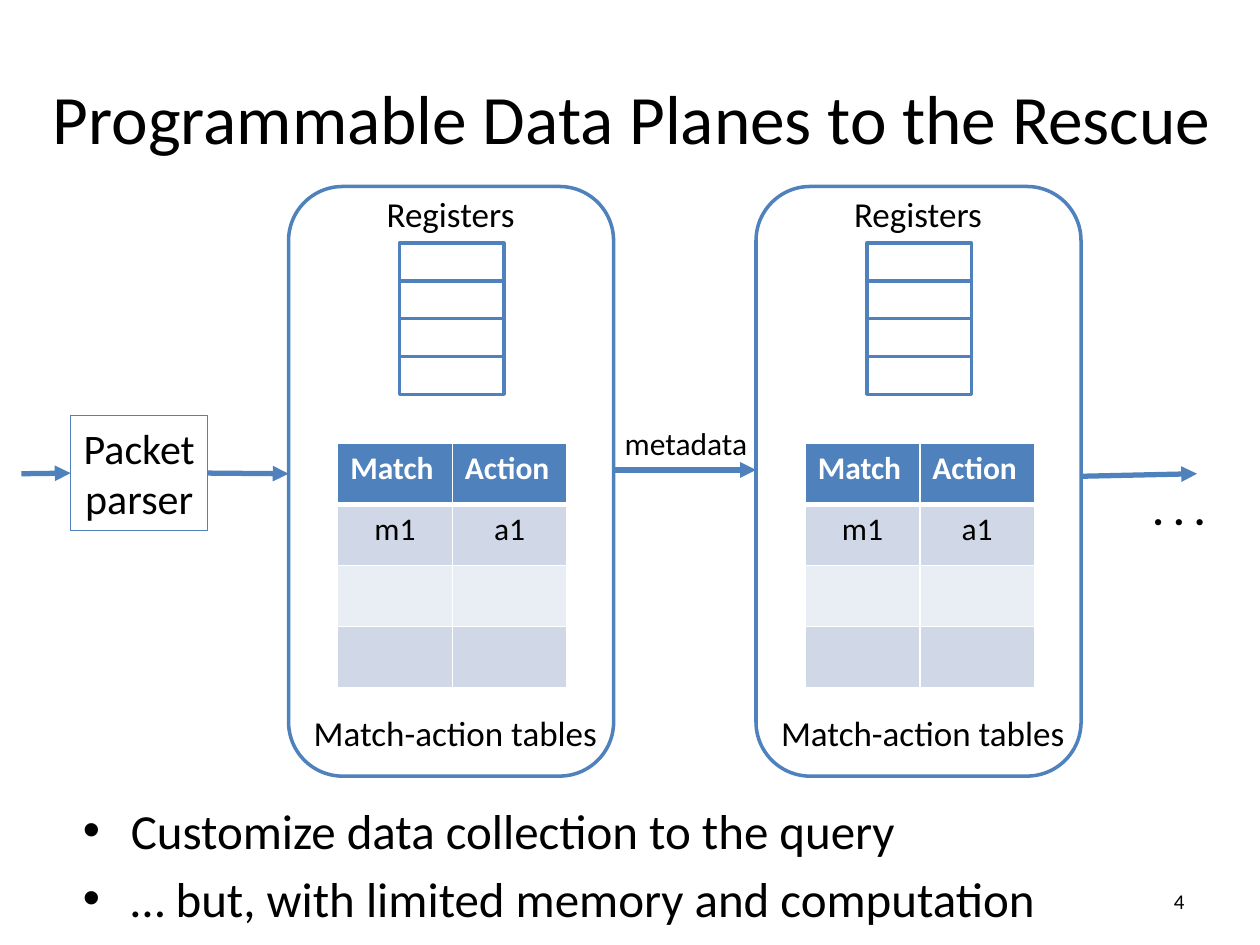
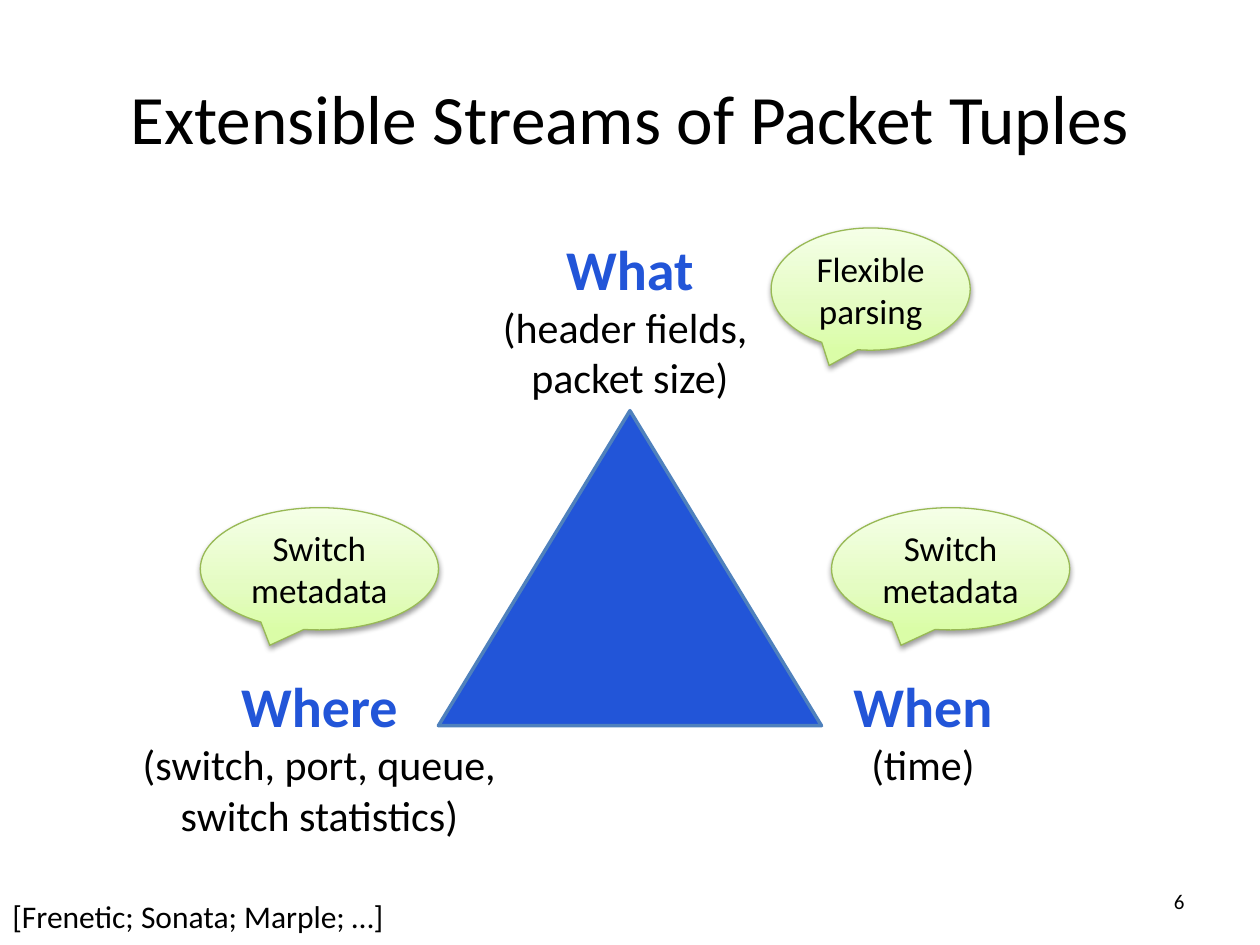
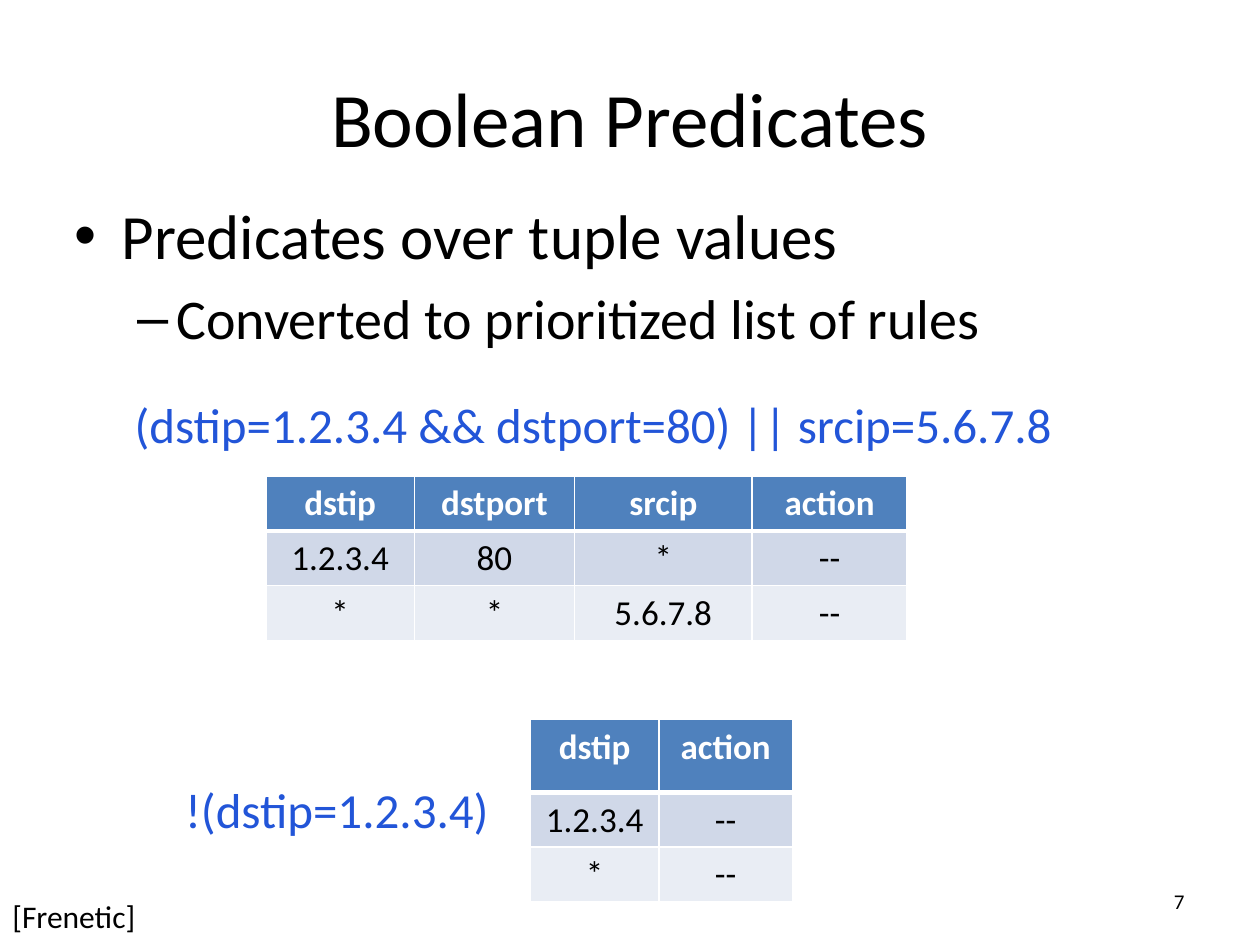
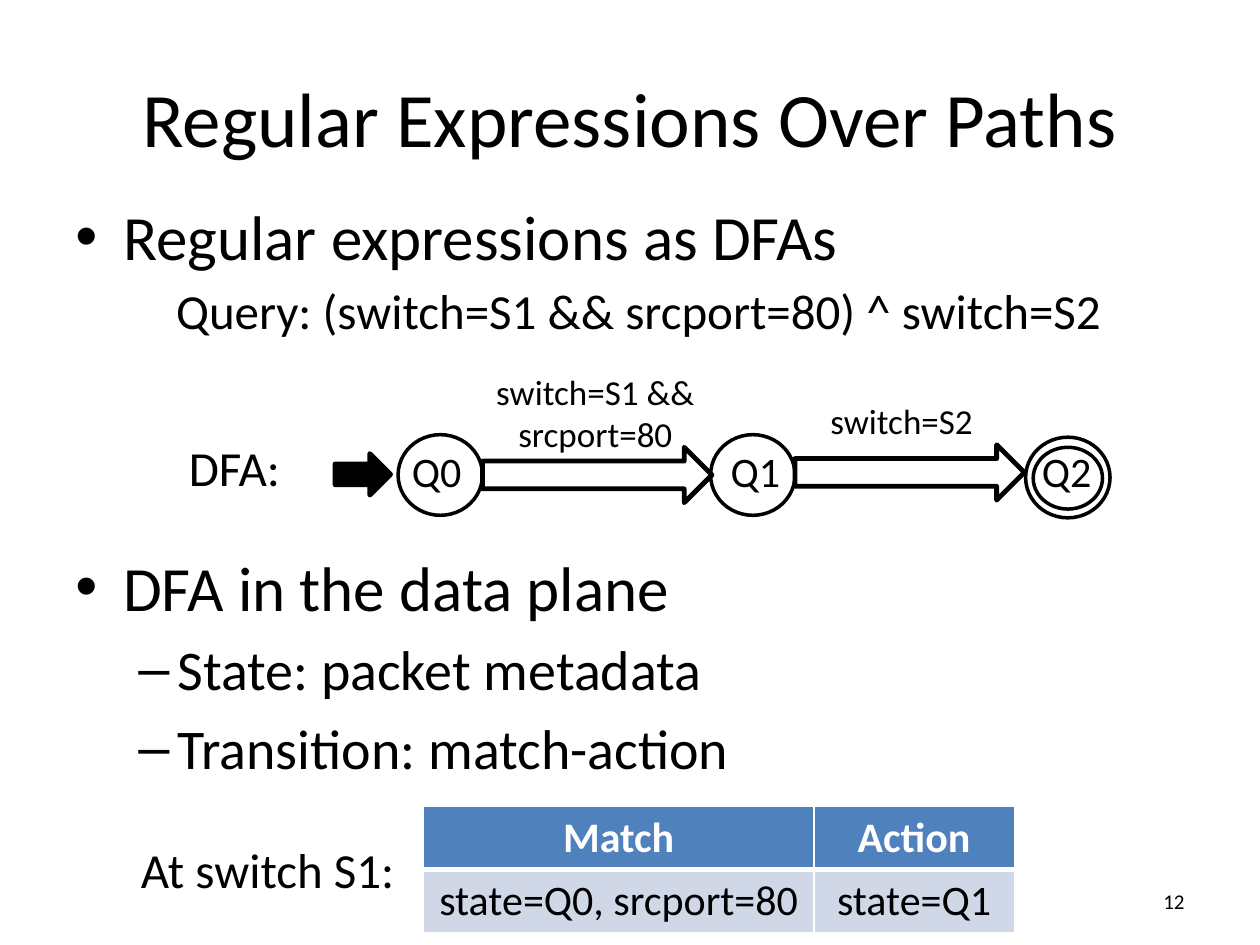
from dataclasses import dataclass

from pptx import Presentation
from pptx.dml.color import RGBColor
from pptx.enum.shapes import MSO_CONNECTOR, MSO_SHAPE
from pptx.enum.text import MSO_ANCHOR, MSO_AUTO_SIZE, PP_ALIGN
from pptx.oxml import parse_xml
from pptx.oxml.ns import nsdecls
from pptx.util import Inches, Pt


@dataclass(frozen=True)
class Theme:
    """Colours, font and type sizes shared by all slides."""
    font: str = "Calibri"
    black: RGBColor = RGBColor(0, 0, 0)
    white: RGBColor = RGBColor(0xFF, 0xFF, 0xFF)
    accent: RGBColor = RGBColor(0x4F, 0x81, 0xBD)
    strong: RGBColor = RGBColor(0x22, 0x55, 0xD8)
    callout_line: RGBColor = RGBColor(0x98, 0xB9, 0x55)
    bands: tuple = (RGBColor(0xD0, 0xD8, 0xE8), RGBColor(0xE9, 0xED, 0xF4))
    callout_stops: tuple = ((0, "DAFDA7"), (35, "E4FCC2"), (100, "F5FFE7"))
    title: float = 44
    title_long: float = 39.6
    head: float = 36
    sub: float = 32
    code: float = 28
    large: float = 24
    label: float = 20
    small: float = 18
    number: float = 12


T = Theme()
BULLETS = (("•", 0.38, 0.38), ("–", 0.81, 0.31))
CENTER = PP_ALIGN.CENTER


def inches(*values):
    """Convert several numbers to lengths."""
    return [Inches(v) for v in values]


def write(tf, text, size=T.small, color=T.black, bold=False, align=PP_ALIGN.LEFT,
          level=None, before=None):
    """Append one formatted paragraph per line of text."""
    for line in text.split("\n"):
        p = tf.add_paragraph() if tf.text else tf.paragraphs[0]
        p.alignment = align
        r = p.add_run()
        r.text = line
        r.font.name, r.font.size, r.font.bold = T.font, Pt(size), bold
        r.font.color.rgb = color
        if before is not None:
            p.space_before = Pt(before)
        if level is not None:
            char, left, hang = BULLETS[level]
            p.level = level
            pPr = p._p.get_or_add_pPr()
            pPr.set("marL", str(Inches(left)))
            pPr.set("indent", str(-Inches(hang)))
            pPr.append(parse_xml(f'<a:buFont {nsdecls("a")} typeface="Arial"/>'))
            pPr.append(parse_xml(f'<a:buChar {nsdecls("a")} char="{char}"/>'))


def add_text(shapes, at, text="", wrap=True, grow=True, anchor=MSO_ANCHOR.TOP, **fmt):
    """Add a text box and return its text frame."""
    tf = shapes.add_textbox(*inches(*at)).text_frame
    tf.word_wrap = wrap
    tf.vertical_anchor = anchor
    tf.auto_size = MSO_AUTO_SIZE.SHAPE_TO_FIT_TEXT if grow else MSO_AUTO_SIZE.NONE
    if text:
        write(tf, text, **fmt)
    return tf


def add_shape(shapes, kind, at, fill=None, line=T.accent, width=2):
    """Add a flat preset shape, hollow unless a fill is given."""
    sp = shapes.add_shape(kind, *inches(*at))
    sp.shadow.inherit = False
    if fill is None:
        sp.fill.background()
    else:
        sp.fill.solid()
        sp.fill.fore_color.rgb = fill
    sp.line.color.rgb = line
    sp.line.width = Pt(width)
    return sp


def add_arrow(shapes, start, end, begin=None, finish=None):
    """Add a straight arrow, joined to the given shapes' sides."""
    cxn = shapes.add_connector(MSO_CONNECTOR.STRAIGHT, *inches(*start, *end))
    if begin is not None:
        cxn.begin_connect(begin, 3)
    if finish is not None:
        cxn.end_connect(finish, 1)
    cxn.line.color.rgb = T.accent
    cxn.line.width = Pt(3)
    cxn.line._get_or_add_ln().append(
        parse_xml(f'<a:tailEnd {nsdecls("a")} type="triangle"/>'))
    cxn._element.spPr.append(parse_xml(f'<a:effectLst {nsdecls("a")}/>'))


def add_callout(shapes, at, text):
    """Add a green speech bubble with a gradient and a soft shadow."""
    sp = add_shape(shapes, MSO_SHAPE.OVAL_CALLOUT, at, line=T.callout_line, width=0.75)
    spPr = sp._element.spPr
    stops = "".join(f'<a:gs pos="{pos * 1000}"><a:srgbClr val="{rgb}"/></a:gs>'
                    for pos, rgb in T.callout_stops)
    grad = parse_xml(f'<a:gradFill {nsdecls("a")} rotWithShape="1"><a:gsLst>{stops}</a:gsLst>'
                     '<a:lin ang="16200000" scaled="0"/></a:gradFill>')
    spPr.replace(spPr.find("{*}noFill"), grad)
    spPr.find("{*}effectLst").append(parse_xml(
        f'<a:outerShdw {nsdecls("a")} blurRad="{Pt(3.1)}" dist="{Pt(1.6)}" dir="5400000" '
        'rotWithShape="0"><a:srgbClr val="000000"><a:alpha val="38000"/></a:srgbClr>'
        '</a:outerShdw>'))
    sp.text_frame.vertical_anchor = MSO_ANCHOR.MIDDLE
    write(sp.text_frame, text, size=T.label, align=CENTER)


def set_borders(cell, top, bottom):
    """Give a cell white borders of the given widths."""
    tcPr = cell._tc.get_or_add_tcPr()
    sides = (("lnL", 1), ("lnR", 1), ("lnT", top), ("lnB", bottom))
    for i, (tag, width) in enumerate(sides):
        tcPr.insert(i, parse_xml(
            f'<a:{tag} {nsdecls("a")} w="{Pt(width)}"><a:solidFill>'
            f'<a:srgbClr val="{T.white}"/></a:solidFill></a:{tag}>'))


def add_grid(shapes, left, top, cols, heights, rows, size, head_align=CENTER):
    """Add a table with a blue header and banded rows."""
    at = inches(left, top, sum(cols), sum(heights))
    table = shapes.add_table(len(rows), len(cols), *at).table
    for col, width in zip(table.columns, cols):
        col.width = Inches(width)
    for i, (row, height, texts) in enumerate(zip(table.rows, heights, rows)):
        row.height = Inches(height)
        head = i == 0
        for cell, text in zip(row.cells, texts):
            cell.fill.solid()
            cell.fill.fore_color.rgb = T.accent if head else T.bands[(i - 1) % 2]
            set_borders(cell, 3 if i == 1 else 1, 3 if head else 1)
            if text:
                write(cell.text_frame, text, size=size, bold=head,
                      color=T.white if head else T.black,
                      align=head_align if head else CENTER)


def add_slide(prs, title, number, size=T.title, left=0.5, width=9):
    """Add a slide with its title and number and return its shapes."""
    shapes = prs.slides.add_slide(prs.slide_layouts[6]).shapes
    add_text(shapes, (left, 0.3, width, 1.25), title, grow=False,
             anchor=MSO_ANCHOR.MIDDLE, size=size, align=CENTER)
    add_text(shapes, (7.17, 6.95, 2.33, 0.4), str(number), grow=False,
             anchor=MSO_ANCHOR.MIDDLE, size=T.number, align=PP_ALIGN.RIGHT)
    return shapes


def add_bullets(shapes, at, items):
    """Add a bulleted body from (text, level, size, space before) items."""
    tf = add_text(shapes, at, grow=False)
    for text, level, size, before in items:
        write(tf, text, size=size, level=level,
              before=0.2 * size if before is None else before)


def add_source(shapes, text, width):
    """Add the reference in the bottom left corner."""
    add_text(shapes, (0, 7.07, width, 0.4), text, wrap=False)


def add_stage(shapes, left):
    """Add one pipeline stage with registers and a match-action table."""
    for i in range(4):
        add_shape(shapes, MSO_SHAPE.RECTANGLE, (left + 0.88, 1.93 + 0.3 * i, 0.83, 0.3))
    add_grid(shapes, left + 0.39, 3.52, [0.91] * 2, [0.485] * 4,
             [("Match", "Action"), ("m1", "a1"), ("", ""), ("", "")],
             T.small, head_align=PP_ALIGN.LEFT)
    add_text(shapes, (left + 0.68, 1.48, 1.23, 0.44), "Registers", wrap=False, size=T.label)
    add_text(shapes, (left + 0.1, 5.6, 2.48, 0.44), "Match-action tables",
             wrap=False, size=T.label)
    add_shape(shapes, MSO_SHAPE.ROUNDED_RECTANGLE, (left, 1.48, 2.58, 4.68))


def data_planes(prs):
    """Build the slide on programmable data planes."""
    shapes = add_slide(prs, "Programmable Data Planes to the Rescue", 4,
                       T.title_long, 0.26, 9.51)
    add_bullets(shapes, (0.56, 6.3, 9, 1.32), [
        ("Customize data collection to the query", 0, T.code, None),
        ("… but, with limited memory and computation", 0, T.code, None)])
    parser = add_shape(shapes, MSO_SHAPE.RECTANGLE, (0.56, 3.3, 1.09, 0.91), width=0.75)
    parser.text_frame.word_wrap = False
    parser.text_frame.vertical_anchor = MSO_ANCHOR.TOP
    write(parser.text_frame, "Packet\nparser", size=T.large, align=CENTER)
    for left in (2.29, 6):
        add_stage(shapes, left)
    add_arrow(shapes, (0.17, 3.76), (0.56, 3.76), finish=parser)
    add_arrow(shapes, (1.65, 3.76), (2.29, 3.76), begin=parser)
    add_arrow(shapes, (4.87, 3.73), (6, 3.73))
    add_arrow(shapes, (8.58, 3.78), (9.5, 3.76))
    add_text(shapes, (9.05, 3.79, 0.62, 0.5), ". . .", wrap=False, size=T.large, bold=True)
    add_text(shapes, (4.86, 3.32, 1.18, 0.4), "metadata", wrap=False)


def packet_tuples(prs):
    """Build the slide on streams of packet tuples."""
    shapes = add_slide(prs, "Extensible Streams of Packet Tuples", 6, T.title_long)
    add_shape(shapes, MSO_SHAPE.ISOSCELES_TRIANGLE, (3.48, 3.26, 3.04, 2.5), fill=T.strong)
    corners = (
        ("What", "(header fields, \npacket size)", (3.88, 1.81, 2.24, 1.45), False),
        ("Where", "(switch, port, queue, switch statistics)", (1.03, 5.28, 3.01, 1.45), True),
        ("When", "(time)", (6.15, 5.28, 2.35, 1.04), True))
    for question, detail, at, wrap in corners:
        tf = add_text(shapes, at, question, wrap=wrap, size=T.sub, color=T.strong,
                      bold=True, align=CENTER)
        write(tf, detail, size=T.large, align=CENTER)
    add_callout(shapes, (6.12, 1.81, 1.58, 0.97), "Flexible parsing")
    for left in (6.6, 1.59):
        add_callout(shapes, (left, 4.03, 1.89, 0.97), "Switch metadata")
    add_source(shapes, "[Frenetic; Sonata; Marple; …]", 3.17)


def boolean_predicates(prs):
    """Build the slide on boolean predicates."""
    shapes = add_slide(prs, "Boolean Predicates", 7)
    add_bullets(shapes, (0.49, 1.51, 9, 1.45), [
        ("Predicates over tuple values", 0, T.head, None),
        ("Converted to prioritized list of rules", 1, T.sub, None)])
    add_text(shapes, (0.97, 3.08, 8.03, 0.57),
             "(dstip=1.2.3.4 && dstport=80) || srcip=5.6.7.8", size=T.code, color=T.strong)
    add_text(shapes, (1.37, 6.14, 2.71, 0.57), "!(dstip=1.2.3.4)",
             size=T.code, color=T.strong)
    add_grid(shapes, 2.11, 3.78, [1.18, 1.27, 1.41, 1.23], [0.43] * 3,
             [("dstip", "dstport", "srcip", "action"),
              ("1.2.3.4", "80", "*", "--"),
              ("*", "*", "5.6.7.8", "--")], T.label)
    add_grid(shapes, 4.21, 5.71, [1.02, 1.06], [0.58, 0.43, 0.43],
             [("dstip", "action"), ("1.2.3.4", "--"), ("*", "--")], T.label)
    add_source(shapes, "[Frenetic]", 1.19)


def add_dfa(shapes):
    """Add the automaton with its states and transitions."""
    states = (("Q0", 3.16, 3.45, 3.17), ("Q1", 5.64, 3.45, 5.7), ("Q2", 8.14, 3.47, 8.17))
    for name, left, top, text_left in states:
        add_shape(shapes, MSO_SHAPE.OVAL, (left, top, 0.67, 0.64), line=T.black)
        add_text(shapes, (text_left, 3.49, 0.67, 0.5), name, size=T.large)
    add_shape(shapes, MSO_SHAPE.OVAL, (8.2, 3.55, 0.55, 0.49), line=T.black)
    arrows = (((2.66, 3.6, 0.44, 0.33), T.black),
              ((3.83, 3.55, 1.82, 0.44), None),
              ((6.31, 3.53, 1.82, 0.44), None))
    for at, fill in arrows:
        add_shape(shapes, MSO_SHAPE.RIGHT_ARROW, at, fill=fill, line=T.black, width=2.75)
    labels = (("switch=S1 &&\nsrcport=80", (3.83, 2.89, 1.79, 0.77)),
              ("switch=S2", (6.48, 3.12, 1.35, 0.44)))
    for text, at in labels:
        add_text(shapes, at, text, wrap=False, size=T.label, align=CENTER)
    add_text(shapes, (1.4, 3.42, 1.11, 0.57), "DFA:", size=T.code)


def regular_expressions(prs):
    """Build the slide on regular expressions over paths."""
    shapes = add_slide(prs, "Regular Expressions Over Paths", 12)
    add_bullets(shapes, (0.5, 1.52, 9, 5.45), [
        ("Regular expressions as DFAs", 0, T.head, None),
        ("DFA in the data plane", 0, T.head, 157),
        ("State: packet metadata", 1, T.sub, None),
        ("Transition: match-action", 1, T.sub, None)])
    add_text(shapes, (1.3, 2.18, 7.64, 0.57),
             "Query: (switch=S1 && srcport=80) ^ switch=S2", wrap=False, size=T.code)
    add_dfa(shapes.add_group_shape().shapes)
    add_grid(shapes, 3.36, 6.4, [3.1, 1.59], [0.5] * 2,
             [("Match", "Action"), ("state=Q0, srcport=80", "state=Q1")], T.large)
    add_text(shapes, (1.02, 6.61, 2.28, 0.57), "At switch S1:", size=T.code)


def main():
    """Build and save the presentation."""
    prs = Presentation()
    prs.slide_width, prs.slide_height = inches(10, 7.5)
    for build in (data_planes, packet_tuples, boolean_predicates, regular_expressions):
        build(prs)
    prs.save("out.pptx")


if __name__ == "__main__":
    main()
